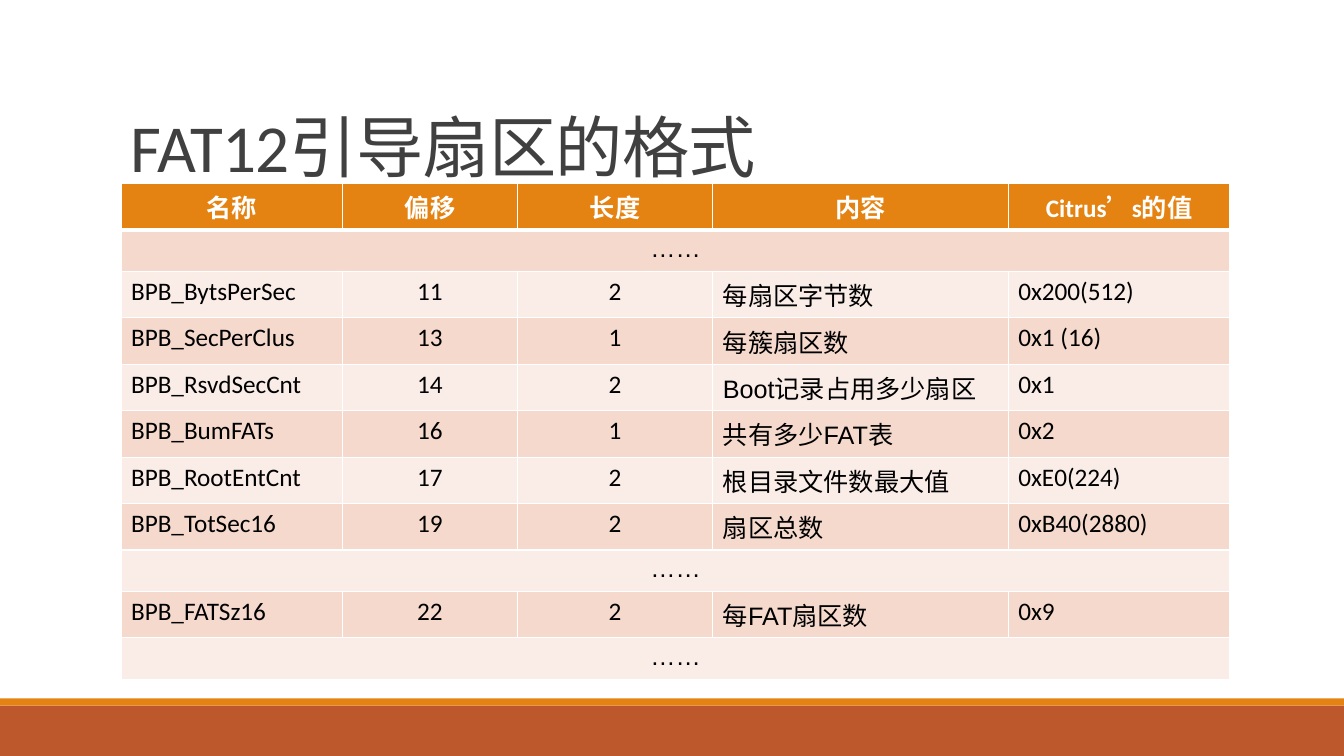
from dataclasses import dataclass

import lxml.etree
import pptx
import pptx.dml.color
import pptx.enum.shapes
import pptx.enum.text
import pptx.oxml.ns
import pptx.util

Inches = pptx.util.Inches
Pt = pptx.util.Pt
qn = pptx.oxml.ns.qn
CENTER = pptx.enum.text.PP_ALIGN.CENTER
LEFT = pptx.enum.text.PP_ALIGN.LEFT


@dataclass(frozen=True)
class Theme:
    orange: str = "E48312"
    rust: str = "BD582C"
    rule: str = "808080"
    title: str = "404040"
    text: str = "000000"
    white: str = "FFFFFF"
    bands: tuple = ("F5D9CC", "FAEDE7")
    latin: str = "Calibri"
    content: str = "Arial"
    title_size: int = 48
    table_size: int = 18


THEME = Theme()
TITLE = "FAT12引导扇区的格式"
HEADINGS = ("名称", "偏移", "长度", "内容", "Citrus’s的值")
OMITTED = ("……",)
FIELDS = (
    OMITTED,
    ("BPB_BytsPerSec", "11", "2", "每扇区字节数", "0x200(512)"),
    ("BPB_SecPerClus", "13", "1", "每簇扇区数", "0x1 (16)"),
    ("BPB_RsvdSecCnt", "14", "2", "Boot记录占用多少扇区", "0x1"),
    ("BPB_BumFATs", "16", "1", "共有多少FAT表", "0x2"),
    ("BPB_RootEntCnt", "17", "2", "根目录文件数最大值", "0xE0(224)"),
    ("BPB_TotSec16", "19", "2", "扇区总数", "0xB40(2880)"),
    OMITTED,
    ("BPB_FATSz16", "22", "2", "每FAT扇区数", "0x9"),
    OMITTED,
)
COLUMN_WIDTHS = (2.2, 1.73, 1.94, 2.93, 2.2)
COLUMN_ALIGNS = (LEFT, CENTER, CENTER, LEFT, LEFT)
CONTENT_COLUMN = 3
OMITTED_HEIGHT = 0.41


def rgb(color):
    return pptx.dml.color.RGBColor.from_string(color)


def style_paragraph(paragraph, text, size, color, face, align=LEFT, bold=False):
    paragraph.text = text
    paragraph.alignment = align
    font = paragraph.font
    font.size, font.name, font.bold = Pt(size), face, bold
    font.color.rgb = rgb(color)


def add_footer(slide, left, top, width, height):
    """Thin orange stripe above a rust band."""
    stripe = 0.07
    for y, depth, color in ((top + stripe, height - stripe, THEME.rust),
                            (top, stripe, THEME.orange)):
        band = slide.shapes.add_shape(
            pptx.enum.shapes.MSO_SHAPE.RECTANGLE,
            Inches(left), Inches(y), Inches(width), Inches(depth))
        band.shadow.inherit = False
        band.fill.solid()
        band.fill.fore_color.rgb = rgb(color)
        band.line.fill.background()


def add_title(slide, left, top, width, height):
    """Title resting on a thin rule."""
    bottom = Inches(top + height)
    rule = slide.shapes.add_connector(
        pptx.enum.shapes.MSO_CONNECTOR.STRAIGHT,
        Inches(left + 0.11), bottom, Inches(left + width + 0.01), bottom)
    rule.line.color.rgb = rgb(THEME.rule)
    rule.line.width = Pt(0.5)
    lxml.etree.SubElement(rule._element.spPr, qn("a:effectLst"))

    title = slide.shapes.add_textbox(
        Inches(left), Inches(top), Inches(width), Inches(height))
    frame = title.text_frame
    frame.word_wrap = True
    frame.vertical_anchor = pptx.enum.text.MSO_ANCHOR.BOTTOM
    paragraph = frame.paragraphs[0]
    style_paragraph(paragraph, TITLE, THEME.title_size, THEME.title, THEME.latin)
    paragraph.line_spacing = 0.85
    paragraph.runs[0].font._element.set("spc", "-50")


def set_borders(cell, **points):
    properties = cell._tc.get_or_add_tcPr()
    for side in "LRTB":
        border = lxml.etree.SubElement(properties, qn(f"a:ln{side}"),
                                       w=str(Pt(points.get(side, 1))))
        fill = lxml.etree.SubElement(border, qn("a:solidFill"))
        lxml.etree.SubElement(fill, qn("a:srgbClr"), val=THEME.white)


def add_field_table(slide, left, top, width, height):
    """Table of fields; rows that stand for omitted fields are lower."""
    rows = (HEADINGS,) + FIELDS
    omitted = rows.count(OMITTED)
    full_height = (height - omitted * OMITTED_HEIGHT) / (len(rows) - omitted)
    table = slide.shapes.add_table(
        len(rows), len(HEADINGS),
        Inches(left), Inches(top), Inches(width), Inches(height)).table
    for column, column_width in zip(table.columns, COLUMN_WIDTHS):
        column.width = Inches(column_width)
    for r, values in enumerate(rows):
        header = r == 0
        table.rows[r].height = Inches(
            OMITTED_HEIGHT if values is OMITTED else full_height)
        fill = THEME.orange if header else THEME.bands[(r - 1) % 2]
        for c in range(len(HEADINGS)):
            cell = table.cell(r, c)
            set_borders(cell, **({"B": 3} if header else {"T": 3} if r == 1 else {}))
            cell.fill.solid()
            cell.fill.fore_color.rgb = rgb(fill)
        if values is OMITTED:
            table.cell(r, 0).merge(table.cell(r, len(HEADINGS) - 1))
        for c, value in enumerate(values):
            centered = header or values is OMITTED
            in_arial = values is OMITTED or (c == CONTENT_COLUMN and not header)
            style_paragraph(
                table.cell(r, c).text_frame.paragraphs[0], value,
                THEME.table_size, THEME.white if header else THEME.text,
                THEME.content if in_arial else THEME.latin,
                CENTER if centered else COLUMN_ALIGNS[c], bold=header)


def main():
    deck = pptx.Presentation()
    deck.slide_width, deck.slide_height = Inches(13.33), Inches(7.5)
    slide = deck.slides.add_slide(deck.slide_layouts[6])
    add_footer(slide, 0, 6.93, 13.33, 0.57)
    add_title(slide, 1.2, 0.31, 11, 1.59)
    add_field_table(slide, 1.2, 1.82, 11, 4.92)
    deck.save("out.pptx")


if __name__ == "__main__":
    main()
